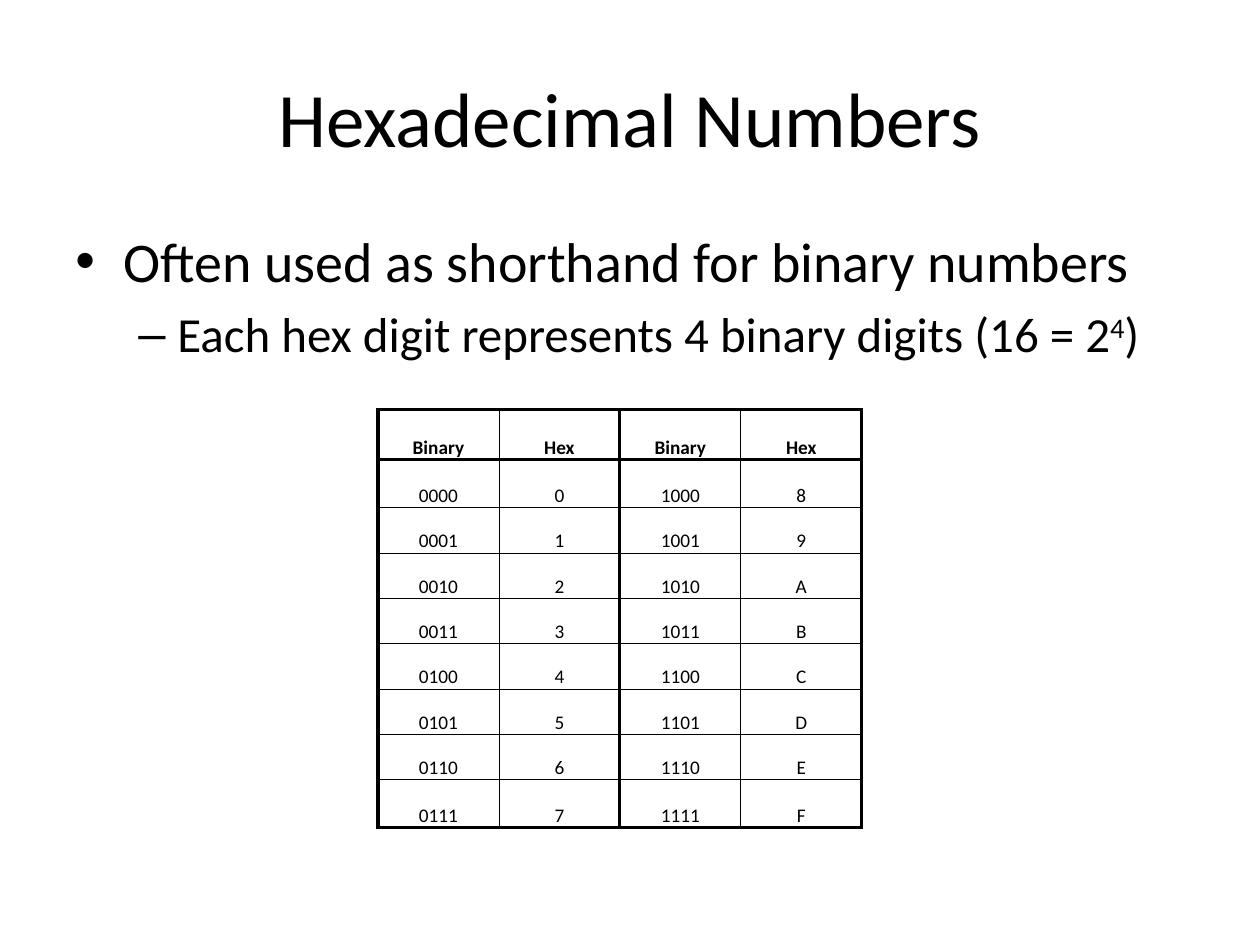
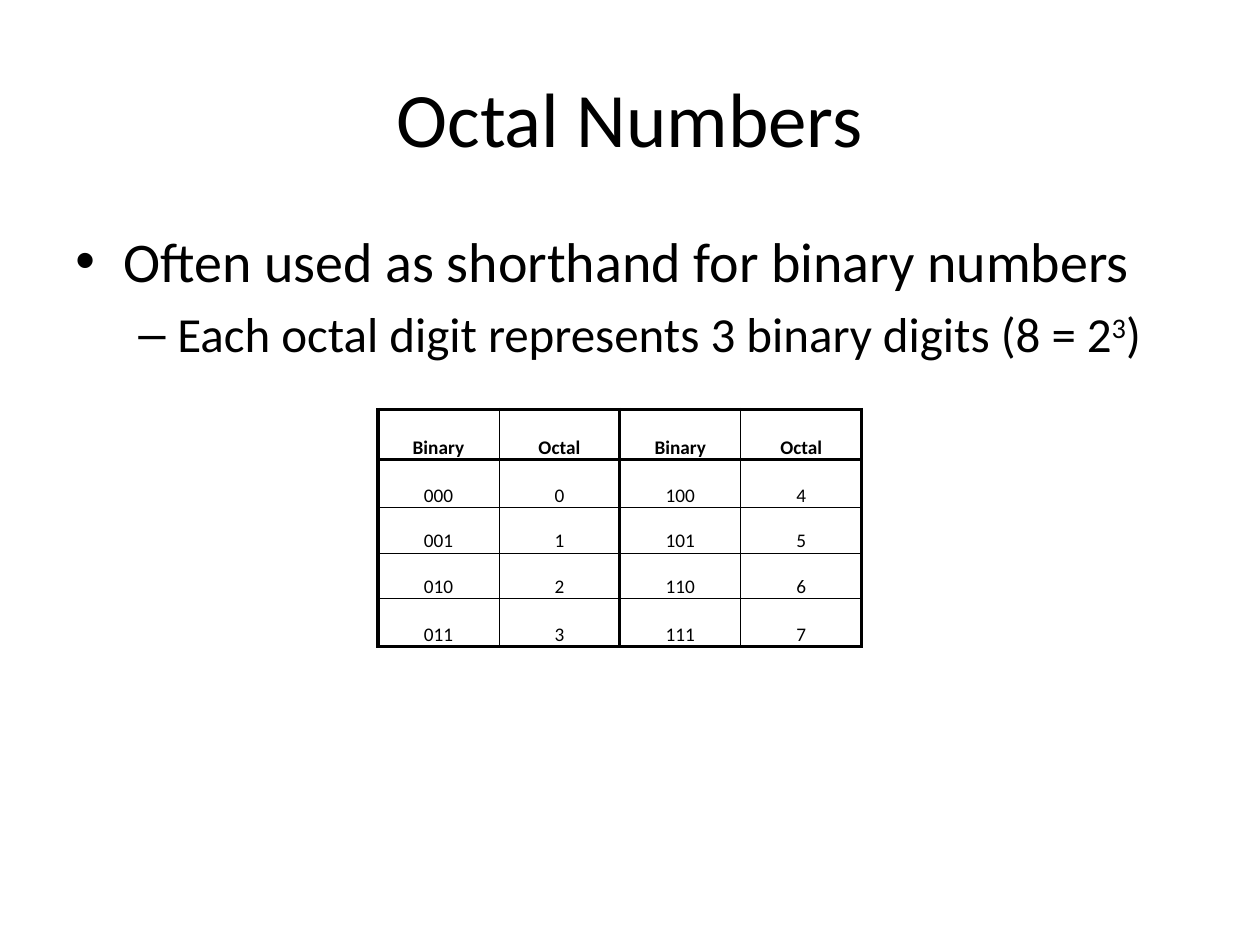
from dataclasses import dataclass
from typing import Any

from lxml.etree import SubElement
from pptx import Presentation
from pptx.dml.color import RGBColor
from pptx.enum.text import MSO_ANCHOR, PP_ALIGN
from pptx.oxml.ns import qn
from pptx.util import Inches, Pt

COLORS = {"text": "000000", "border": "000000"}
FONT = "Calibri"
THIN, THICK = 0.5, 2
COL_W = 0.96
TABLE_LEFT, TABLE_TOP = 3, 3.25
HEADER_H, EDGE_ROW_H, ROW_H = 0.4, 0.38, 0.36
TITLE_FRAME = {"word_wrap": True, "vertical_anchor": MSO_ANCHOR.MIDDLE}
BODY_FRAME = {"word_wrap": True, "vertical_anchor": MSO_ANCHOR.TOP}
CELL_FORMAT = {
    "vertical_anchor": MSO_ANCHOR.BOTTOM,
    "margin_left": Inches(0.01),
    "margin_right": Inches(0.01),
    "margin_top": Inches(0.01),
    "margin_bottom": Inches(0),
}
TABLE_FORMAT = {"first_row": False, "horz_banding": False}


@dataclass(frozen=True)
class Bullet:
    char: str
    size: int
    level: int
    margin: float
    indent: float


@dataclass(frozen=True)
class NumberSystem:
    name: str
    short: str
    bits: int

    @property
    def base(self) -> int:
        return 2 ** self.bits

    def rows(self) -> list[list[str]]:
        half = self.base // 2
        pairs = [[f"{n:0{self.bits}b}", f"{n:X}"] for n in range(self.base)]
        return [["Binary", self.short] * 2] + [
            pairs[n] + pairs[n + half] for n in range(half)
        ]


MAIN = Bullet("•", 32, 0, 0.38, -0.38)
SUB = Bullet("–", 28, 1, 0.81, -0.31)
SYSTEMS = [
    NumberSystem("Hexadecimal", "Hex", 4),
    NumberSystem("Octal", "Octal", 3),
]


def apply_format(target: Any, values: dict[str, Any]) -> None:
    for name, value in values.items():
        setattr(target, name, value)


def add_run(p: Any, text: str, size: float, bold: bool = False,
            baseline: int = 0) -> None:
    r = p.add_run()
    r.text = text
    apply_format(r.font, {"name": FONT, "size": Pt(size), "bold": bold})
    r.font.color.rgb = RGBColor.from_string(COLORS["text"])
    if baseline:
        r._r.get_or_add_rPr().set("baseline", str(baseline * 1000))


def add_box(s: Any, top: float, height: float, values: dict[str, Any]) -> Any:
    sp = s.shapes.add_textbox(Inches(0.5), Inches(top), Inches(9), Inches(height))
    apply_format(sp.text_frame, values)
    return sp.text_frame


def set_bullet(p: Any, bullet: Bullet) -> None:
    apply_format(p, {"level": bullet.level, "space_before": Pt(bullet.size * 0.2)})
    pPr = p._p.get_or_add_pPr()
    pPr.set("marL", str(Inches(bullet.margin)))
    pPr.set("indent", str(Inches(bullet.indent)))
    SubElement(pPr, qn("a:buFont"), typeface="Arial")
    SubElement(pPr, qn("a:buChar"), char=bullet.char)


def set_borders(cell: Any, widths: dict[str, float]) -> None:
    tcPr = cell._tc.get_or_add_tcPr()
    for side, width in widths.items():
        ln = SubElement(tcPr, qn(f"a:ln{side}"), w=str(Pt(width)))
        fill = SubElement(ln, qn("a:solidFill"))
        SubElement(fill, qn("a:srgbClr"), val=COLORS["border"])
        SubElement(ln, qn("a:prstDash"), val="solid")


def add_title(s: Any, system: NumberSystem) -> None:
    p = add_box(s, 0.3, 1.25, TITLE_FRAME).paragraphs[0]
    p.alignment = PP_ALIGN.CENTER
    add_run(p, f"{system.name} Numbers", 44)


def add_body(s: Any, system: NumberSystem) -> None:
    tf = add_box(s, 1.75, 4.95, BODY_FRAME)
    p = tf.paragraphs[0]
    set_bullet(p, MAIN)
    add_run(p, "Often used as shorthand for binary numbers", MAIN.size)
    p = tf.add_paragraph()
    set_bullet(p, SUB)
    add_run(p, f"Each {system.short.lower()} digit represents {system.bits} "
               f"binary digits ({system.base} = 2", SUB.size)
    add_run(p, str(system.bits), SUB.size, baseline=30)
    add_run(p, ")", SUB.size)


def add_digit_table(s: Any, system: NumberSystem) -> None:
    rows = system.rows()
    last = len(rows) - 1
    heights = [HEADER_H, EDGE_ROW_H] + [ROW_H] * (last - 2) + [EDGE_ROW_H]
    cols = len(rows[0])
    table = s.shapes.add_table(
        len(rows), cols, Inches(TABLE_LEFT), Inches(TABLE_TOP),
        Inches(COL_W * cols), Inches(sum(heights))).table
    apply_format(table, TABLE_FORMAT)
    for col in table.columns:
        col.width = Inches(COL_W)
    for i, (values, height) in enumerate(zip(rows, heights)):
        table.rows[i].height = Inches(height)
        for j, value in enumerate(values):
            cell = table.cell(i, j)
            apply_format(cell, CELL_FORMAT)
            set_borders(cell, {
                "L": THIN if j % 2 else THICK,
                "R": THICK if j % 2 else THIN,
                "T": THICK if i < 2 else THIN,
                "B": THICK if i in (0, last) else THIN,
            })
            cell.fill.background()
            p = cell.text_frame.paragraphs[0]
            p.alignment = PP_ALIGN.CENTER
            add_run(p, value, 11, bold=i == 0)


def main() -> None:
    prs = Presentation()
    apply_format(prs, {"slide_width": Inches(10), "slide_height": Inches(7.5)})
    for system in SYSTEMS:
        s = prs.slides.add_slide(prs.slide_layouts[6])
        add_title(s, system)
        add_body(s, system)
        add_digit_table(s, system)
    prs.save("out.pptx")


if __name__ == "__main__":
    main()
